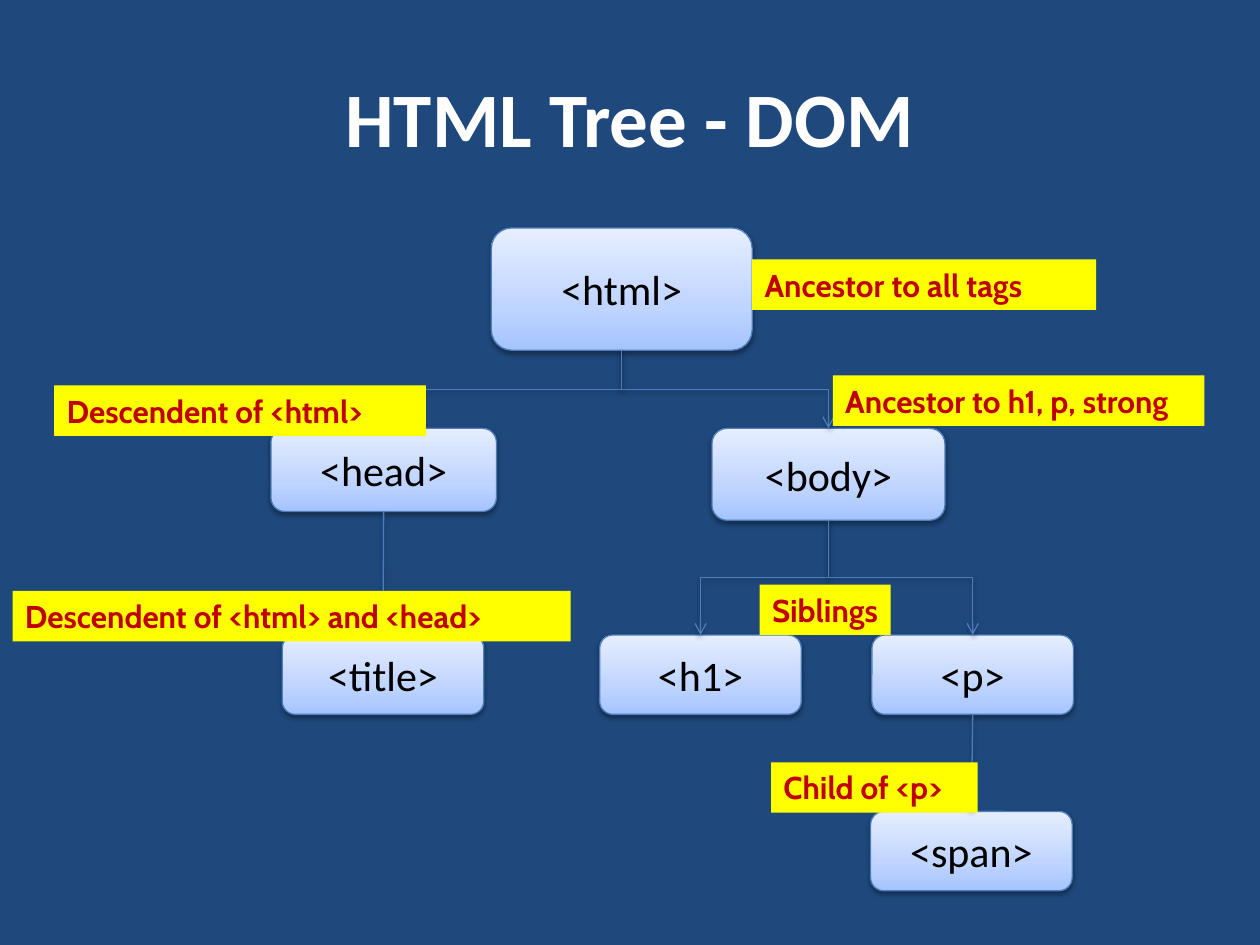
from typing import NamedTuple

from lxml import etree
from pptx import Presentation
from pptx import util as u
from pptx.dml.color import RGBColor
from pptx.enum import shapes, text
from pptx.oxml import parse_xml
from pptx.oxml.ns import nsdecls, qn

NAVY = RGBColor(0x1F, 0x49, 0x7D)
WHITE = RGBColor(0xFF, 0xFF, 0xFF)
BLACK = RGBColor(0x00, 0x00, 0x00)
YELLOW = RGBColor(0xFF, 0xFF, 0x00)
RED = RGBColor(0xC0, 0x00, 0x00)
EDGE_BLUE = RGBColor(0x4B, 0x7E, 0xBC)
NODE_GRADIENT = (
    (0, RGBColor(0xA4, 0xC4, 0xFF)),
    (35, RGBColor(0xBF, 0xD4, 0xFF)),
    (100, RGBColor(0xE6, 0xEE, 0xFF)),
)


class Box(NamedTuple):
    """A text with its place on the slide, in inches."""
    text: str
    left: float
    top: float
    width: float
    height: float

    @property
    def center(self) -> float:
        return self.left + self.width / 2

    @property
    def bottom(self) -> float:
        return self.top + self.height

    def frame(self) -> list:
        return [u.Inches(value) for value in self[1:]]


TITLE = Box("HTML Tree - DOM", 0.5, 0.3, 9, 1.25)

LEAF = (1.6, 0.63)
NODES = {
    "html": Box("<html>", 3.9, 1.81, 2.07, 0.97),
    "head": Box("<head>", 2.15, 3.4, 1.79, 0.66),
    "body": Box("<body>", 5.65, 3.4, 1.85, 0.73),
    "title": Box("<title>", 2.24, 5.04, *LEAF),
    "p": Box("<p>", 6.92, 5.04, *LEAF),
    "h1": Box("<h1>", 4.76, 5.04, *LEAF),
    "span": Box("<span>", 6.91, 6.44, *LEAF),
}
EDGES = [("html", "head"), ("html", "body"), ("head", "title"),
         ("body", "h1"), ("body", "p"), ("p", "span")]

NOTE_HEIGHT = 0.4
NOTES = [
    Box("Ancestor to all tags", 5.97, 2.06, 2.73, NOTE_HEIGHT),
    Box("Ancestor to h1, p, strong", 6.61, 2.98, 2.95, NOTE_HEIGHT),
    Box("Siblings", 6.03, 4.64, 1.04, NOTE_HEIGHT),
    Box("Child of <p>", 6.12, 6.05, 1.64, NOTE_HEIGHT),
    Box("Descendent of <html>", 0.43, 3.06, 2.95, NOTE_HEIGHT),
    Box("Descendent of <html> and <head>", 0.1, 4.69, 4.43, NOTE_HEIGHT),
]


def write(shape, content: str, size: int, font: str, color: RGBColor,
          bold: bool = False, align=text.PP_ALIGN.CENTER) -> None:
    frame = shape.text_frame
    frame.word_wrap = True
    frame.vertical_anchor = text.MSO_ANCHOR.MIDDLE
    paragraph = frame.paragraphs[0]
    paragraph.alignment = align
    run = paragraph.add_run()
    run.text = content
    run.font.size = u.Pt(size)
    run.font.name = font
    run.font.bold = bold
    run.font.color.rgb = color


def style_outline(shape) -> None:
    """Give a node or an edge its thin blue line and soft shadow."""
    shape.line.color.rgb = EDGE_BLUE
    shape.line.width = u.Pt(0.75)
    shape._element.spPr.append(parse_xml(
        f'<a:effectLst {nsdecls("a")}>'
        '<a:outerShdw blurRad="40000" dist="20000" dir="5400000" rotWithShape="0">'
        '<a:srgbClr val="000000"><a:alpha val="38000"/></a:srgbClr>'
        '</a:outerShdw></a:effectLst>'))


def fill_gradient(shape) -> None:
    stops = "".join(
        f'<a:gs pos="{percent * 1000}"><a:srgbClr val="{color}"/></a:gs>'
        for percent, color in NODE_GRADIENT)
    geometry = shape._element.spPr.find(qn("a:prstGeom"))
    geometry.addnext(parse_xml(
        f'<a:gradFill {nsdecls("a")} rotWithShape="1"><a:gsLst>{stops}</a:gsLst>'
        '<a:lin ang="16200000" scaled="0"/></a:gradFill>'))


def add_node(group, node: Box) -> None:
    shape = group.shapes.add_shape(
        shapes.MSO_SHAPE.ROUNDED_RECTANGLE, *node.frame())
    fill_gradient(shape)
    style_outline(shape)
    write(shape, node.text, 24, "Calibri", BLACK)


def add_edge(group, parent: Box, child: Box) -> None:
    """Join parent to child; an elbow is turned so that it leaves downwards."""
    start_x, start_y = parent.center, parent.bottom
    end_x, end_y = child.center, child.top
    kind = shapes.MSO_CONNECTOR.STRAIGHT
    rotation = 0
    if abs(end_x - start_x) > 0.05:
        kind = shapes.MSO_CONNECTOR.ELBOW
        side = 1 if end_x < start_x else -1
        rotation = 90 if side == 1 else 270
        middle_x, middle_y = (start_x + end_x) / 2, (start_y + end_y) / 2
        half_width = side * (end_y - start_y) / 2
        half_height = abs(end_x - start_x) / 2
        start_x, end_x = middle_x - half_width, middle_x + half_width
        start_y, end_y = middle_y - half_height, middle_y + half_height
    edge = group.shapes.add_connector(
        kind, *(u.Inches(value) for value in (start_x, start_y, end_x, end_y)))
    if rotation:
        edge._element.spPr.find(qn("a:xfrm")).set("rot", str(rotation * 60000))
    style_outline(edge)
    line = edge._element.spPr.find(qn("a:ln"))
    etree.SubElement(line, qn("a:tailEnd")).set("type", "arrow")


def add_note(slide, note: Box) -> None:
    box = slide.shapes.add_textbox(*note.frame())
    box.fill.solid()
    box.fill.fore_color.rgb = YELLOW
    write(box, note.text, 18, "Cabin", RED, True, text.PP_ALIGN.LEFT)
    box.text_frame.vertical_anchor = text.MSO_ANCHOR.TOP
    box.text_frame.auto_size = text.MSO_AUTO_SIZE.SHAPE_TO_FIT_TEXT


def main() -> None:
    presentation = Presentation()
    presentation.slide_width = u.Inches(10)
    presentation.slide_height = u.Inches(7.5)
    slide = presentation.slides.add_slide(presentation.slide_layouts[6])
    slide.background.fill.solid()
    slide.background.fill.fore_color.rgb = NAVY

    title = slide.shapes.add_textbox(*TITLE.frame())
    write(title, TITLE.text, 44, "Calibri", WHITE, True)

    tree = slide.shapes.add_group_shape()
    for node in NODES.values():
        add_node(tree, node)
    for parent, child in EDGES:
        add_edge(tree, NODES[parent], NODES[child])
    for note in NOTES:
        add_note(slide, note)

    presentation.save("out.pptx")


if __name__ == "__main__":
    main()
